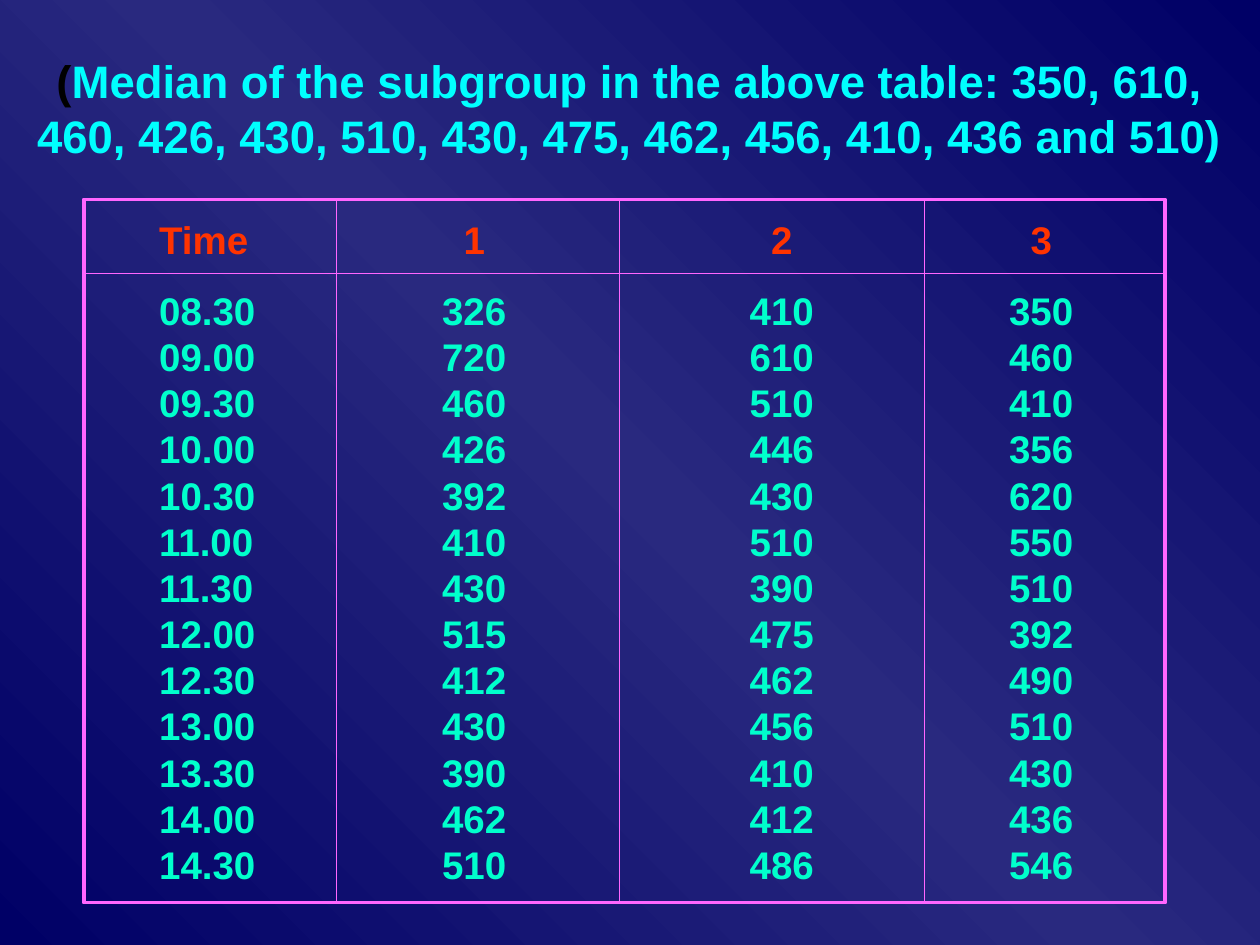
from copy import deepcopy
from dataclasses import dataclass

from lxml import etree
from pptx import Presentation
from pptx import util as u
from pptx.dml.color import RGBColor
from pptx.enum import shapes, text
from pptx.oxml import ns
from pptx.util import Cm

FONT = "Arial"
BLACK = RGBColor(0x00, 0x00, 0x00)
CYAN = RGBColor(0x00, 0xFF, 0xFF)
ORANGE = RGBColor(0xFF, 0x33, 0x00)
MINT = RGBColor(0x00, 0xFF, 0xCC)
PINK = RGBColor(0xFF, 0x66, 0xFF)
NAVY = RGBColor(0x00, 0x00, 0x66)
INDIGO = RGBColor(0x29, 0x29, 0x7F)


@dataclass(frozen=True)
class Area:
    """A rectangle in centimetres."""
    left: float
    top: float
    width: float
    height: float

    @property
    def right(self) -> float:
        return self.left + self.width

    @property
    def bottom(self) -> float:
        return self.top + self.height

    def lengths(self) -> list[u.Length]:
        return [Cm(n) for n in (self.left, self.top, self.width, self.height)]


@dataclass(frozen=True)
class Rule:
    """A straight line in centimetres."""
    x1: float
    y1: float
    x2: float
    y2: float


TITLE = Area(0, 0.94, 25.4, 2.46)
BODY = Area(2.96, 4.24, 19.26, 13.8)
FRAME = Area(1.69, 4.02, 21.8, 14.18)
HEADER_LINE = 5.5
COLUMN_LINES = (6.77, 12.49, 18.63)
COLUMN_TABS = (6.35, 12.55, 17.78)

HEADER = ("Time", 1, 2, 3)
READINGS = [
    ("08.30", 326, 410, 350),
    ("09.00", 720, 610, 460),
    ("09.30", 460, 510, 410),
    ("10.00", 426, 446, 356),
    ("10.30", 392, 430, 620),
    ("11.00", 410, 510, 550),
    ("11.30", 430, 390, 510),
    ("12.00", 515, 475, 392),
    ("12.30", 412, 462, 490),
    ("13.00", 430, 456, 510),
    ("13.30", 390, 410, 430),
    ("14.00", 462, 412, 436),
    ("14.30", 510, 486, 546),
]


def paint_background(page) -> None:
    fill = page.background.fill
    fill.gradient()
    fill.gradient_angle = 45
    first, last = fill.gradient_stops
    for stop, position in ((first, 0), (last, 1)):
        stop.color.rgb = INDIGO
        stop.position = position
    # The middle stop keeps the lighter colour
    stops = page.background._cSld.find(".//" + ns.qn("a:gsLst"))
    middle = deepcopy(stops[0])
    middle.set("pos", "50000")
    stops.insert(1, middle)
    first.color.rgb = last.color.rgb = NAVY


def add_frame(parent, area: Area):
    """Add an empty text box and return its text frame."""
    frame = parent.add_textbox(*area.lengths()).text_frame
    frame.word_wrap = True
    frame.auto_size = text.MSO_AUTO_SIZE.SHAPE_TO_FIT_TEXT
    return frame


def add_span(para, words: str, size: float, color: RGBColor) -> None:
    span = para.add_run()
    span.text = words
    span.font.name = FONT
    span.font.size = u.Pt(size)
    span.font.bold = True
    span.font.color.rgb = color


def add_tabs(para) -> None:
    tabs = etree.SubElement(para._p.get_or_add_pPr(), ns.qn("a:tabLst"))
    for position in COLUMN_TABS:
        etree.SubElement(tabs, ns.qn("a:tab"), pos=str(int(Cm(position))), algn="ctr")


def add_title(page) -> None:
    para = add_frame(page.shapes, TITLE).paragraphs[0]
    para.alignment = text.PP_ALIGN.CENTER
    para.line_spacing = u.Pt(31.4)
    add_span(para, "(", 26, BLACK)
    add_span(para, "Median of the subgroup in the above table: 350, 610, 460, 426, "
             "430, 510, 430, 475, 462, 456, 410, 436 and 510)", 26, CYAN)


def add_readings(parent) -> None:
    frame = add_frame(parent, BODY)
    for index, values in enumerate([HEADER, *READINGS]):
        para = frame.add_paragraph() if index else frame.paragraphs[0]
        para.line_spacing = u.Pt(26.4)
        if not index:
            para.space_after = u.Pt(13.8)
        add_tabs(para)
        add_span(para, "\t".join(map(str, values)), 22, MINT if index else ORANGE)


def add_border(parent) -> None:
    border = parent.add_shape(shapes.MSO_SHAPE.RECTANGLE, *FRAME.lengths())
    border.shadow.inherit = False
    border.fill.background()
    border.line.color.rgb = PINK
    border.line.width = u.Pt(2)


def add_rule(parent, rule: Rule) -> None:
    line = parent.add_connector(shapes.MSO_CONNECTOR.STRAIGHT, Cm(rule.x1), Cm(rule.y1),
                                Cm(rule.x2), Cm(rule.y2))
    line.line.color.rgb = PINK
    line.line.width = u.Pt(0.2)
    etree.SubElement(line._element.spPr, ns.qn("a:effectLst"))


def main() -> None:
    deck = Presentation()
    deck.slide_width, deck.slide_height = Cm(25.4), Cm(19.05)
    page = deck.slides.add_slide(deck.slide_layouts[6])
    paint_background(page)
    add_title(page)

    # Readings with their border and dividing lines
    group = page.shapes.add_group_shape().shapes
    add_readings(group)
    add_border(group)
    add_rule(group, Rule(FRAME.left, HEADER_LINE, FRAME.right, HEADER_LINE))
    for x in COLUMN_LINES:
        add_rule(group, Rule(x, FRAME.top, x, FRAME.bottom))

    deck.save("out.pptx")


if __name__ == "__main__":
    main()
